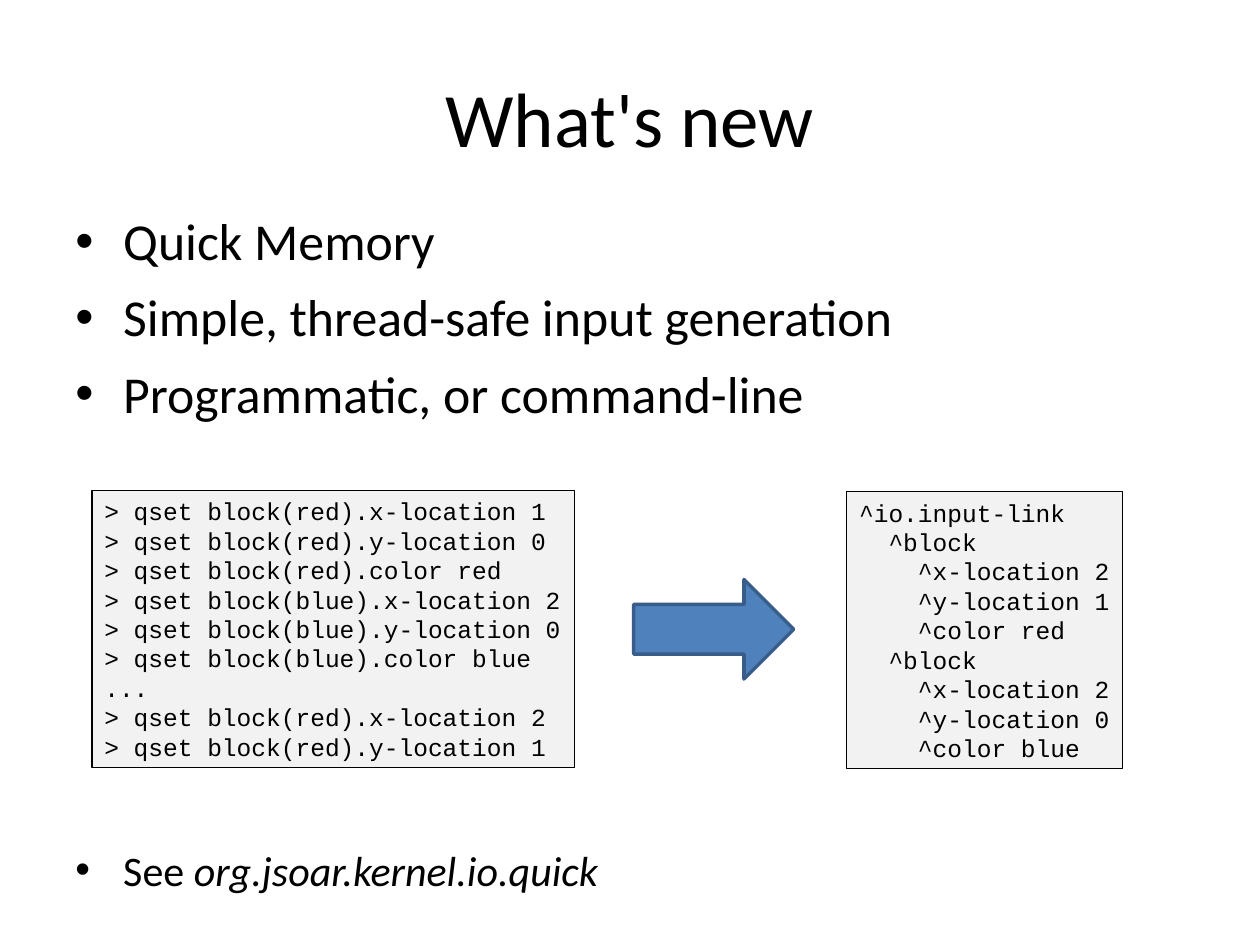
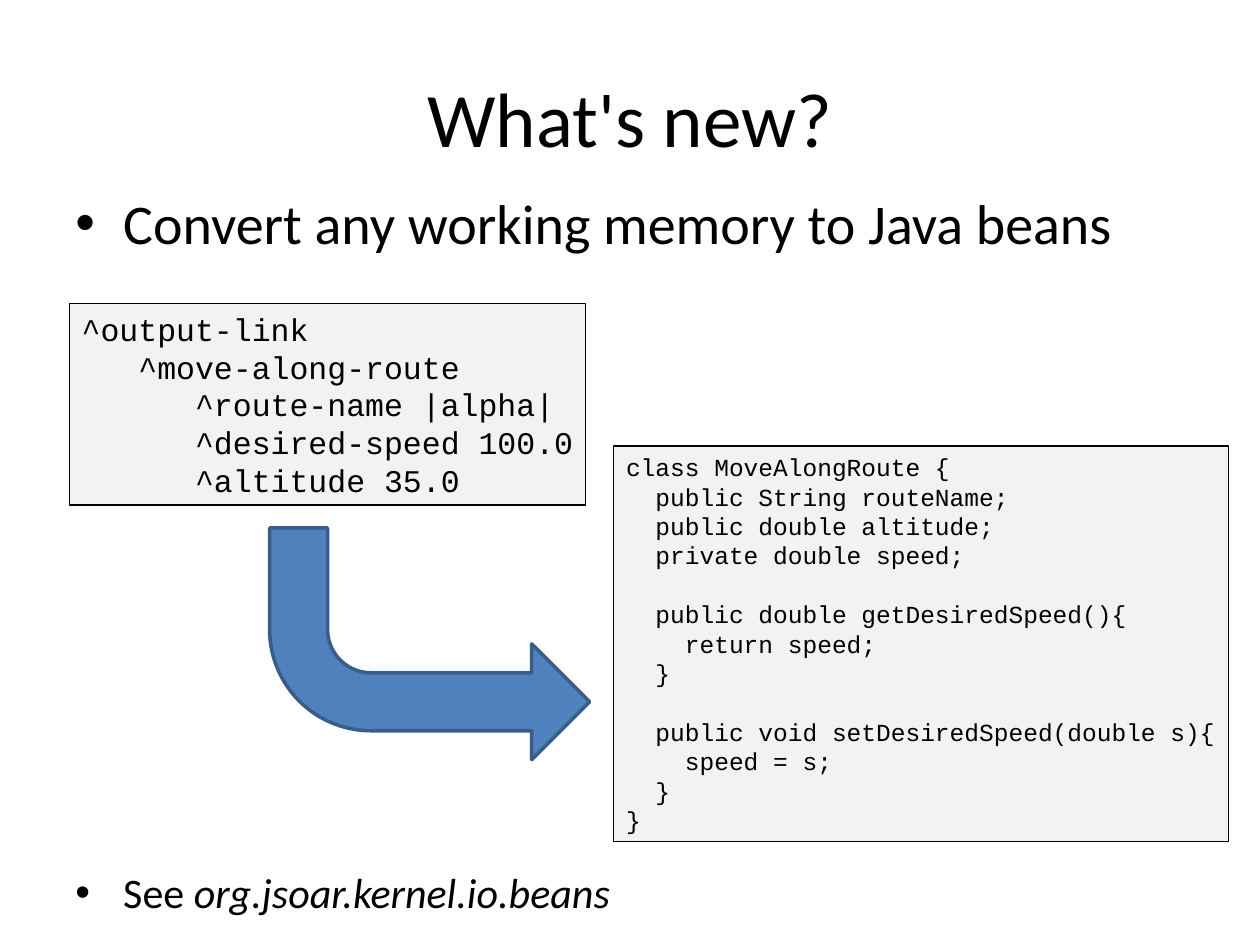
from dataclasses import dataclass

from lxml import etree
from pptx import Presentation
from pptx.dml.color import RGBColor
from pptx.enum.shapes import MSO_SHAPE
from pptx.enum.text import MSO_ANCHOR, PP_ALIGN
from pptx.oxml.ns import qn
from pptx.util import Emu, Inches, Pt

RIGHT_ARROW = MSO_SHAPE.RIGHT_ARROW
BENT_ARROW = MSO_SHAPE.BENT_ARROW
MIDDLE, TOP = MSO_ANCHOR.MIDDLE, MSO_ANCHOR.TOP
CENTER, LEFT = PP_ALIGN.CENTER, PP_ALIGN.LEFT

WIDTH, HEIGHT = Inches(10), Inches(7.5)
MARGIN, CONTENT = 5, 90


@dataclass(frozen=True)
class Theme:
    """Colours, fonts and type sizes shared by the slides."""
    ink: RGBColor = RGBColor(0x00, 0x00, 0x00)
    panel: RGBColor = RGBColor(0xF2, 0xF2, 0xF2)
    arrow: RGBColor = RGBColor(0x4F, 0x81, 0xBD)
    arrow_edge: RGBColor = RGBColor(0x38, 0x5D, 0x8A)
    text_font: str = "Calibri"
    code_font: str = "Courier New"
    bullet_font: str = "Arial"
    title: float = 44
    headline: float = 32
    list_item: float = 29.6
    reference: float = 24
    code_large: float = 18
    code: float = 14
    code_leading: float = 1.2


THEME = Theme()

QSET_COMMANDS = """\
> qset block(red).x-location 1
> qset block(red).y-location 0
> qset block(red).color red
> qset block(blue).x-location 2
> qset block(blue).y-location 0
> qset block(blue).color blue
...
> qset block(red).x-location 2
> qset block(red).y-location 1"""

INPUT_LINK = """\
^io.input-link
  ^block
    ^x-location 2
    ^y-location 1
    ^color red
  ^block
    ^x-location 2
    ^y-location 0
    ^color blue"""

OUTPUT_LINK = """\
^output-link
   ^move-along-route
      ^route-name |alpha|
      ^desired-speed 100.0
      ^altitude 35.0"""

BEAN_CLASS = """\
class MoveAlongRoute {
  public String routeName;
  public double altitude;
  private double speed;

  public double getDesiredSpeed(){
    return speed;
  }

  public void setDesiredSpeed(double s){
    speed = s;
  }
}"""


def area(left, top, width, height):
    """Turn percentages of the slide into a position and size."""
    return (Emu(round(WIDTH * left / 100)), Emu(round(HEIGHT * top / 100)),
            Emu(round(WIDTH * width / 100)), Emu(round(HEIGHT * height / 100)))


def style_font(font, name, size):
    """Give a font its typeface, size and the ink colour."""
    font.name = name
    font.size = Pt(size)
    font.color.rgb = THEME.ink


def add_titled_slide(prs, title):
    """Add a title-only slide and format its title."""
    slide = prs.slides.add_slide(prs.slide_layouts[5])
    sp = slide.shapes.title
    sp.left, sp.top, sp.width, sp.height = area(MARGIN, 4, CONTENT, 16.67)
    tf = sp.text_frame
    tf.text = title
    tf.vertical_anchor = MIDDLE
    p = tf.paragraphs[0]
    p.alignment = CENTER
    style_font(p.font, THEME.text_font, THEME.title)
    return slide


def set_bullet(p):
    """Give a paragraph a hanging round bullet."""
    pPr = p._p.get_or_add_pPr()
    pPr.set("marL", str(Inches(0.38)))
    pPr.set("indent", str(-Inches(0.38)))
    font = etree.Element(qn("a:buFont"), typeface=THEME.bullet_font)
    char = etree.Element(qn("a:buChar"), char="•")
    defaults = pPr.find(qn("a:defRPr"))
    defaults.addprevious(font)
    defaults.addprevious(char)


def add_bullets(slide, top, height, items, size, space):
    """Add a bulleted list; each item is a list of (text, italic) runs."""
    sp = slide.shapes.add_textbox(*area(MARGIN, top, CONTENT, height))
    tf = sp.text_frame
    tf.word_wrap = True
    for i, runs in enumerate(items):
        p = tf.add_paragraph() if i else tf.paragraphs[0]
        p.space_before = Pt(space)
        style_font(p.font, THEME.text_font, size)
        set_bullet(p)
        for text, italic in runs:
            r = p.add_run()
            r.text = text
            if italic:
                r.font.italic = True


def add_reference(slide, top, package_name):
    """Add the closing pointer to a Java package."""
    add_bullets(slide, top, 5.87, [[("See ", False), (package_name, True)]],
                THEME.reference, 6)


def add_code(slide, box, code, size):
    """Add a bordered panel of code."""
    sp = slide.shapes.add_textbox(*area(*box))
    sp.fill.solid()
    sp.fill.fore_color.rgb = THEME.panel
    sp.line.color.rgb = THEME.ink
    sp.line.width = Pt(0.75)
    tf = sp.text_frame
    tf.word_wrap = False
    tf.vertical_anchor = TOP
    p = tf.paragraphs[0]
    p.text = code
    p.alignment = LEFT
    p.line_spacing = Pt(size * THEME.code_leading)
    style_font(p.font, THEME.code_font, size)


def add_arrow(slide, kind, box, flip=False):
    """Add a block arrow, mirrored top to bottom if asked."""
    sp = slide.shapes.add_shape(kind, *area(*box))
    sp.shadow.inherit = False
    sp.fill.solid()
    sp.fill.fore_color.rgb = THEME.arrow
    sp.line.color.rgb = THEME.arrow_edge
    sp.line.width = Pt(2)
    if flip:
        sp._element.spPr.find(qn("a:xfrm")).set("flipV", "1")


def add_quick_memory(prs):
    """Build the slide on Quick Memory."""
    slide = add_titled_slide(prs, "What's new")
    features = ("Quick Memory", "Simple, thread-safe input generation",
                "Programmatic, or command-line")
    add_bullets(slide, 21.47, 24.8, [[(f, False)] for f in features],
                THEME.list_item, 8)
    add_code(slide, (7.3, 51.87, 38.3, 29.33), QSET_COMMANDS, THEME.code)
    add_code(slide, (67.2, 52, 21.9, 29.33), INPUT_LINK, THEME.code)
    add_reference(slide, 88.67, "org.jsoar.kernel.io.quick")
    add_arrow(slide, RIGHT_ARROW, (50.3, 61.33, 12.7, 10.53))


def add_java_beans(prs):
    """Build the slide on conversion to Java beans."""
    slide = add_titled_slide(prs, "What's new?")
    add_bullets(slide, 19.33, 9.73,
                [[("Convert any working memory to Java beans", False)]],
                THEME.headline, 8)
    add_code(slide, (5.5, 32.13, 41, 21.33), OUTPUT_LINK, THEME.code_large)
    add_code(slide, (48.7, 47.2, 48.8, 41.87), BEAN_CLASS, THEME.code)
    add_arrow(slide, BENT_ARROW, (21.4, 55.87, 25.4, 24.53), flip=True)
    add_reference(slide, 91.07, "org.jsoar.kernel.io.beans")


def main():
    """Build the deck and save it."""
    prs = Presentation()
    prs.slide_width, prs.slide_height = WIDTH, HEIGHT
    add_quick_memory(prs)
    add_java_beans(prs)
    prs.save("out.pptx")


if __name__ == "__main__":
    main()
